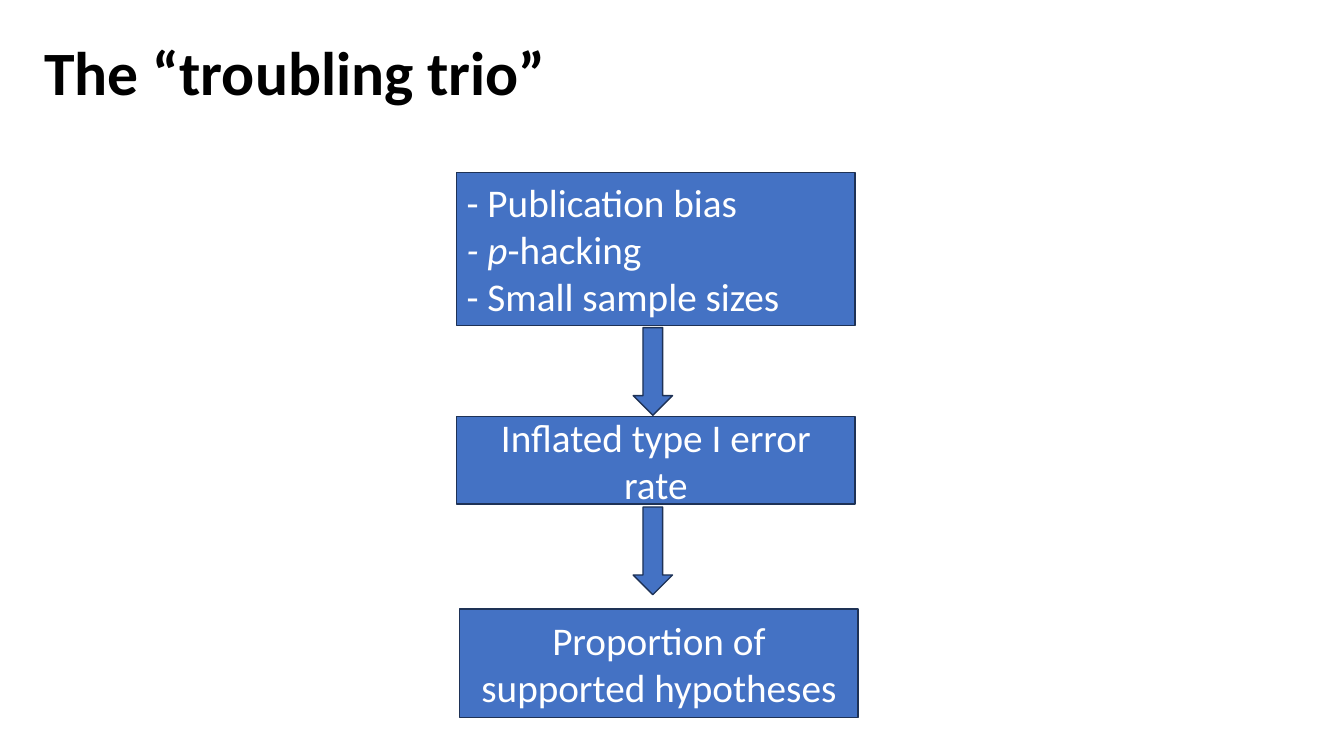
from pptx import Presentation
from pptx.dml.color import RGBColor
from pptx.enum.shapes import MSO_SHAPE
from pptx.enum.text import MSO_ANCHOR, PP_ALIGN
from pptx.util import Pt

PX = 9144
BLUE = RGBColor(0x44, 0x72, 0xC4)
NAVY = RGBColor(0x1E, 0x32, 0x56)
WHITE = RGBColor(0xFF, 0xFF, 0xFF)
BLACK = RGBColor(0x00, 0x00, 0x00)
RECT = MSO_SHAPE.RECTANGLE
DOWN_ARROW = MSO_SHAPE.DOWN_ARROW
LEFT = PP_ALIGN.LEFT
CENTER = PP_ALIGN.CENTER
MIDDLE = MSO_ANCHOR.MIDDLE

TITLE_FONT = {"name": "Calibri", "size": Pt(44), "bold": True}
BOX_FONT = {"name": "Calibri", "size": Pt(28)}

CAUSES = [
    [("- Publication bias", False)],
    [("- p", True), ("-hacking", False)],
    [("- Small sample sizes", False)],
]
ERROR_RATE = [[("Inflated type I error rate", False)]]
HYPOTHESES = [[("Proportion of supported hypotheses", False)]]


def emu(box):
    return [v * PX for v in box]


def write(tf, paragraphs, font, color, align, spacing=None):
    tf.word_wrap = True
    tf.vertical_anchor = MIDDLE
    for i, runs in enumerate(paragraphs):
        p = tf.paragraphs[0] if i == 0 else tf.add_paragraph()
        p.alignment = align
        p.line_spacing = spacing
        for text, italic in runs:
            r = p.add_run()
            r.text = text
            for key, value in {**font, "italic": italic}.items():
                setattr(r.font, key, value)
            r.font.color.rgb = color


def add_title(slide, box, text):
    tf = slide.shapes.add_textbox(*emu(box)).text_frame
    write(tf, [[(text, False)]], TITLE_FONT, BLACK, LEFT, 0.9)


def add_block(slide, kind, box):
    sp = slide.shapes.add_shape(kind, *emu(box))
    sp.shadow.inherit = False
    sp.fill.solid()
    sp.fill.fore_color.rgb = BLUE
    sp.line.color.rgb = NAVY
    sp.line.width = Pt(1)
    return sp


def add_flow(slide, box):
    x, y, w = box
    steps = [
        (0, 0, 152, CAUSES, LEFT),
        (0, 242, 87, ERROR_RATE, CENTER),
        (3, 433, 108, HYPOTHESES, CENTER),
    ]
    for dx, dy, h, paragraphs, align in steps:
        sp = add_block(slide, RECT, (x + dx, y + dy, w, h))
        write(sp.text_frame, paragraphs, BOX_FONT, WHITE, align)
    for dy in (154, 332):
        add_block(slide, DOWN_ARROW, (x + 175, y + dy, 39, 87))


def main():
    prs = Presentation()
    prs.slide_width, prs.slide_height = emu((1333, 750))
    slide = prs.slides.add_slide(prs.slide_layouts[6])
    add_title(slide, (34, 21, 1150, 108), "The “troubling trio”")
    add_flow(slide, (453, 171, 395))
    prs.save("out.pptx")


if __name__ == "__main__":
    main()
